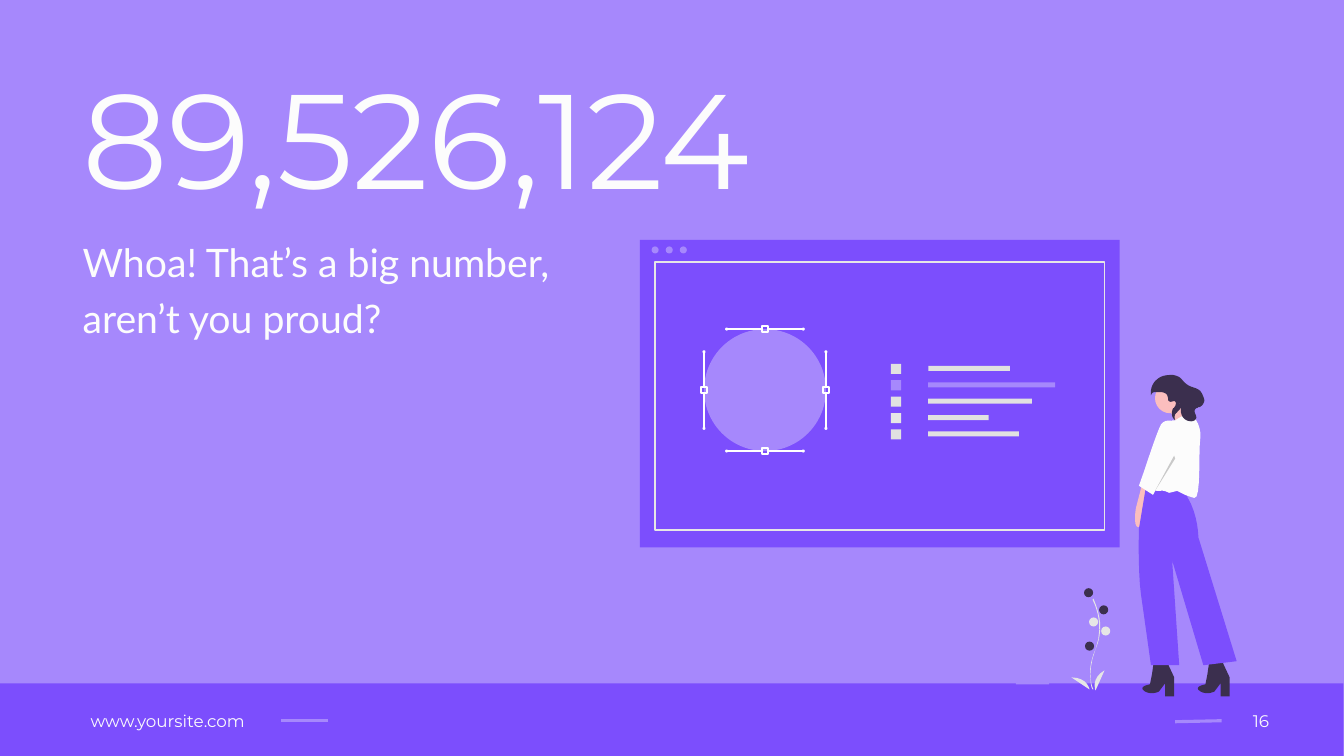
from dataclasses import dataclass
from typing import NamedTuple

from lxml.etree import SubElement
from pptx import Presentation
from pptx.dml.color import RGBColor
from pptx.dml.fill import FillFormat
from pptx.enum.shapes import MSO_CONNECTOR, MSO_SHAPE
from pptx.enum.text import MSO_ANCHOR, MSO_AUTO_SIZE, PP_ALIGN
from pptx.oxml.ns import qn
from pptx.shapes.autoshape import Shape
from pptx.shapes.connector import Connector
from pptx.slide import Slide
from pptx.util import Cm, Length, Pt

LILAC, VIOLET, INK, SKIN = "A688FC", "7C4EFD", "3B2F4E", "FBBEBE"
PAPER, WHITE, MIST, SILVER = "FCFCFC", "FFFFFF", "E6E6E6", "E1E1E1"
CURVE_STEPS = 8


class Point(NamedTuple):
    x: float
    y: float


class Box(NamedTuple):
    x: float
    y: float
    width: float
    height: float


class ListRow(NamedTuple):
    bar_width: float
    marker_color: str
    bar_color: str


class Berry(NamedTuple):
    center: Point
    color: str


@dataclass(frozen=True)
class Outline:
    color: str
    start: tuple[float, float]
    segments: tuple[tuple[float, ...], ...]
    shift: float = 0
    opacity: int = 100


@dataclass(frozen=True)
class Caption:
    box: Box
    lines: tuple[str, ...]
    font: str
    size: int
    spacing: float = 1.0
    align: PP_ALIGN = PP_ALIGN.LEFT
    anchor: MSO_ANCHOR = MSO_ANCHOR.MIDDLE
    inset: bool = True


STEM = Outline(MIST, (10.84, 6.84), (
    (10.84, 6.84, 10.82, 6.81, 10.82, 6.74), (10.81, 6.68, 10.81, 6.58, 10.87, 6.44),
    (10.97, 6.17, 10.84, 5.95, 10.84, 5.95), (10.85, 5.94), (10.87, 5.99, 10.89, 6.04, 10.9, 6.09),
    (10.93, 6.2, 10.92, 6.33, 10.87, 6.44), (10.77, 6.71, 10.85, 6.84, 10.85, 6.84)))
RIGHT_LEAF = Outline(MIST, (10.87, 6.85), ((10.87, 6.85, 10.82, 6.73, 10.96, 6.65),))
LEFT_LEAF = Outline(MIST, (10.81, 6.84), ((10.81, 6.84, 10.79, 6.72, 10.63, 6.72),))
BERRIES = (Berry(Point(10.8, 5.88), INK), Berry(Point(10.95, 6.05), INK),
           Berry(Point(10.85, 6.17), MIST), Berry(Point(10.97, 6.26), MIST),
           Berry(Point(10.81, 6.41), INK))
LIST_ROWS = (ListRow(0.81, SILVER, SILVER), ListRow(1.26, LILAC, LILAC),
             ListRow(1.03, SILVER, SILVER), ListRow(0.6, MIST, SILVER),
             ListRow(0.9, SILVER, SILVER))

HAND = Outline(SKIN, (11.33, 4.81), (
    (11.27, 5.04), (11.27, 5.04, 11.24, 5.22, 11.29, 5.23),
    (11.34, 5.23, 11.33, 5.05, 11.33, 5.05), (11.43, 4.89)))
BOOT = (
    (11.43, 6.69), (11.41, 6.79), (11.41, 6.79, 11.28, 6.81, 11.36, 6.86),
    (11.43, 6.9, 11.5, 6.86, 11.5, 6.86), (11.56, 6.78), (11.56, 6.91), (11.65, 6.91),
    (11.65, 6.72), (11.58, 6.57))
BOOTS = tuple(Outline(INK, (11.45, 6.55), BOOT, shift) for shift in (0, 0.55))
TROUSERS = Outline(VIOLET, (11.78, 4.93), (
    (11.78, 4.86), (11.37, 4.83), (11.3, 5.25), (11.3, 5.25, 11.29, 5.67, 11.32, 5.89),
    (11.35, 6.1, 11.42, 6.6, 11.42, 6.6), (11.7, 6.6), (11.63, 5.56), (11.94, 6.6),
    (12.27, 6.56), (11.89, 5.33), (11.89, 5.33, 11.89, 5.11, 11.78, 4.93)))
NECK = Outline(SKIN, (11.71, 4.02), ((11.83, 4.16), (11.68, 4.22), (11.61, 4.08)))
BLOUSE = Outline(PAPER, (11.63, 4.17), (
    (11.66, 4.17), (11.66, 4.17, 11.77, 4.1, 11.8, 4.1), (11.83, 4.11, 11.92, 4.2, 11.91, 4.34),
    (11.89, 4.47, 11.92, 4.96, 11.85, 4.94), (11.78, 4.92, 11.76, 4.91, 11.76, 4.91),
    (11.68, 4.87), (11.6, 4.89), (11.6, 4.89, 11.55, 4.86, 11.51, 4.87),
    (11.47, 4.88, 11.35, 4.83, 11.35, 4.83)))
SLEEVE = Outline(PAPER, (11.67, 4.19), (
    (11.67, 4.19, 11.57, 4.14, 11.52, 4.21), (11.48, 4.28, 11.36, 4.65, 11.36, 4.65),
    (11.3, 4.82), (11.44, 4.91), (11.72, 4.4), (11.72, 4.4, 11.76, 4.25, 11.67, 4.19)))
HAIR = Outline(INK, (11.59, 3.97), (
    (11.59, 3.96, 11.59, 3.94, 11.58, 3.92), (11.57, 3.9, 11.54, 3.89, 11.51, 3.89),
    (11.5, 3.89, 11.48, 3.89, 11.46, 3.89), (11.44, 3.89, 11.43, 3.9, 11.42, 3.92),
    (11.42, 3.93, 11.42, 3.9, 11.42, 3.87), (11.43, 3.8, 11.48, 3.75, 11.54, 3.73),
    (11.58, 3.72, 11.61, 3.72, 11.64, 3.72), (11.68, 3.73, 11.71, 3.74, 11.73, 3.77),
    (11.74, 3.78, 11.75, 3.79, 11.76, 3.8), (11.78, 3.82, 11.8, 3.83, 11.83, 3.84),
    (11.86, 3.85, 11.89, 3.86, 11.91, 3.88), (11.93, 3.91, 11.94, 3.93, 11.95, 3.97),
    (11.95, 4, 11.92, 4.04, 11.89, 4.04), (11.88, 4.05, 11.87, 4.05, 11.87, 4.05),
    (11.83, 4.08, 11.87, 4.11, 11.87, 4.14), (11.87, 4.16, 11.85, 4.18, 11.82, 4.18),
    (11.77, 4.18, 11.73, 4.15, 11.72, 4.1), (11.71, 4.08, 11.72, 4.06, 11.72, 4.04),
    (11.72, 4.01, 11.67, 3.96, 11.71, 4), (11.71, 4.01, 11.72, 4.02, 11.72, 4.03),
    (11.72, 4.06, 11.69, 4.07, 11.68, 4.09), (11.65, 4.11, 11.65, 4.14, 11.66, 4.17),
    (11.62, 4.14, 11.62, 4.09, 11.64, 4.05), (11.65, 4.05, 11.65, 4.04, 11.66, 4.03),
    (11.67, 4.01, 11.67, 3.98, 11.65, 3.98), (11.63, 3.98, 11.61, 4, 11.59, 3.97)))
SLEEVE_SHADE = Outline("000000", (11.66, 4.55), ((11.46, 4.87), (11.65, 4.52)), opacity=20)

HEADLINE = Caption(Box(0.82, 0.9, 8.5, 1.27), ("89,526,124",), "Montserrat", 96, 0.9,
                   anchor=MSO_ANCHOR.BOTTOM, inset=False)
CAPTIONS = (
    Caption(Box(12.12, 6.95, 0.57, 0.4), ("16",), "Montserrat", 12, align=PP_ALIGN.RIGHT),
    Caption(Box(0.8, 6.95, 1.99, 0.4), ("www.yoursite.com",), "Montserrat", 12),
    Caption(Box(0.82, 2.27, 7.62, 1.1), ("Whoa! That’s a big number,", "aren’t you proud?"),
            "Lato", 28, 1.2, anchor=MSO_ANCHOR.TOP, inset=False))


def units(inches: float) -> Length:
    return Cm(inches * 2.54)


def paint(fill: FillFormat, color: str) -> None:
    fill.solid()
    fill.fore_color.rgb = RGBColor.from_string(color)


def square_around(center: Point, side: float) -> Box:
    return Box(center.x - side / 2, center.y - side / 2, side, side)


def draw_shape(slide: Slide, box: Box, color: str, preset: MSO_SHAPE = MSO_SHAPE.RECTANGLE,
               hollow: bool = False) -> Shape:
    shape = slide.shapes.add_shape(preset, *map(units, box))
    shape.shadow.inherit = False
    if hollow:
        shape.fill.background()
        paint(shape.line.fill, color)
        shape.line.width = Pt(1)
    else:
        paint(shape.fill, color)
        shape.line.fill.background()
    return shape


def draw_dot(slide: Slide, center: Point, diameter: float, color: str) -> None:
    draw_shape(slide, square_around(center, diameter), color, MSO_SHAPE.OVAL)


def draw_line(slide: Slide, start: Point, end: Point, color: str, weight: float) -> Connector:
    line = slide.shapes.add_connector(MSO_CONNECTOR.STRAIGHT, *map(units, (*start, *end)))
    paint(line.line.fill, color)
    line.line.width = Pt(weight)
    SubElement(line._element.spPr, qn("a:effectLst"))
    return line


def bezier(start: Point, controls: tuple[float, ...]) -> list[Point]:
    x1, y1, x2, y2, x3, y3 = controls

    def at(t: float, *p: float) -> float:
        s = 1 - t
        return s**3 * p[0] + 3 * s * s * t * p[1] + 3 * s * t * t * p[2] + t**3 * p[3]

    return [Point(at(i / CURVE_STEPS, start.x, x1, x2, x3), at(i / CURVE_STEPS, start.y, y1, y2, y3))
            for i in range(1, CURVE_STEPS + 1)]


def draw_outline(slide: Slide, outline: Outline) -> None:
    points = [Point(*outline.start)]
    for segment in outline.segments:
        points += bezier(points[-1], segment) if len(segment) == 6 else [Point(*segment)]
    vertices = [(units(x + outline.shift), units(y)) for x, y in points]
    builder = slide.shapes.build_freeform(*vertices[0])
    builder.add_line_segments(vertices[1:], close=True)
    shape = builder.convert_to_shape()
    shape.shadow.inherit = False
    paint(shape.fill, outline.color)
    shape.line.fill.background()
    if outline.opacity < 100:
        tint = shape._element.spPr.find(qn("a:solidFill"))[0]
        SubElement(tint, qn("a:alpha"), val=str(outline.opacity * 1000))


def write_caption(shape: Shape, caption: Caption) -> None:
    frame = shape.text_frame
    paragraph = frame.paragraphs[0]
    margins = {} if caption.inset else dict.fromkeys(
        ("margin_left", "margin_top", "margin_right", "margin_bottom"), 0)
    formats = (
        (shape, dict(zip(("left", "top", "width", "height"), map(units, caption.box)))),
        (frame, {"word_wrap": True, "auto_size": MSO_AUTO_SIZE.NONE,
                 "vertical_anchor": caption.anchor, **margins}),
        (paragraph, {"alignment": caption.align, "line_spacing": caption.spacing}))
    for target, values in formats:
        for name, value in values.items():
            setattr(target, name, value)
    for index, line in enumerate(caption.lines):
        if index:
            paragraph.add_line_break()
        run = paragraph.add_run()
        run.text = line
        for name, value in {"name": caption.font, "size": Pt(caption.size), "bold": False}.items():
            setattr(run.font, name, value)
        paint(run.font.fill, PAPER)


def draw_guide(slide: Slide, center: Point, horizontal: bool) -> None:
    handle = draw_shape(slide, square_around(center, 0.06), WHITE, hollow=True)
    for direction, site in zip((-1, 1), (1, 3) if horizontal else (0, 2)):
        reach = 0.38 * direction
        tip = Point(center.x + reach, center.y) if horizontal else Point(center.x, center.y + reach)
        draw_line(slide, center, tip, WHITE, 1).begin_connect(handle, site)
        draw_dot(slide, tip, 0.03, WHITE)


def draw_window(slide: Slide) -> None:
    draw_shape(slide, Box(6.35, 2.38, 4.76, 3.05), VIOLET)
    for index in range(3):
        draw_dot(slide, Point(6.5 + 0.14 * index, 2.48), 0.07, LILAC)
    for index, row in enumerate(LIST_ROWS):
        middle = 3.66 + index * 0.65 / 4
        draw_shape(slide, Box(9.21, middle - 0.03, row.bar_width, 0.05), row.bar_color)
        draw_shape(slide, square_around(Point(8.89, middle), 0.1), row.marker_color)
    disc, diameter = Point(7.59, 3.87), 1.21
    draw_dot(slide, disc, diameter, LILAC)
    for side in (-diameter / 2, diameter / 2):
        draw_guide(slide, Point(disc.x, disc.y + side), True)
        draw_guide(slide, Point(disc.x + side, disc.y), False)
    draw_shape(slide, Box(6.5, 2.6, 4.46, 2.66), MIST, hollow=True)


def main() -> None:
    deck = Presentation()
    deck.slide_width, deck.slide_height = Cm(33.87), Cm(19.05)
    slide = deck.slides.add_slide(deck.slide_layouts[5])
    paint(slide.background.fill, LILAC)
    write_caption(slide.shapes.title, HEADLINE)
    draw_shape(slide, Box(0, 6.78, 13.33, 0.72), VIOLET)
    draw_line(slide, Point(12.12, 7.15), Point(11.66, 7.16), LILAC, 2.25)
    draw_line(slide, Point(2.79, 7.15), Point(3.25, 7.15), LILAC, 2.25)
    for caption in CAPTIONS:
        write_caption(slide.shapes.add_textbox(*map(units, caption.box)), caption)
    draw_outline(slide, STEM)
    for berry in BERRIES:
        draw_dot(slide, berry.center, 0.09, berry.color)
    draw_window(slide)
    for outline in (RIGHT_LEAF, LEFT_LEAF, HAND, *BOOTS, TROUSERS):
        draw_outline(slide, outline)
    draw_dot(slide, Point(11.61, 3.95), 0.3, SKIN)
    for outline in (NECK, BLOUSE, SLEEVE, HAIR, SLEEVE_SHADE):
        draw_outline(slide, outline)
    draw_shape(slide, Box(10.08, 6.46, 0.33, 0.33), LILAC)
    deck.save("out.pptx")


if __name__ == "__main__":
    main()
